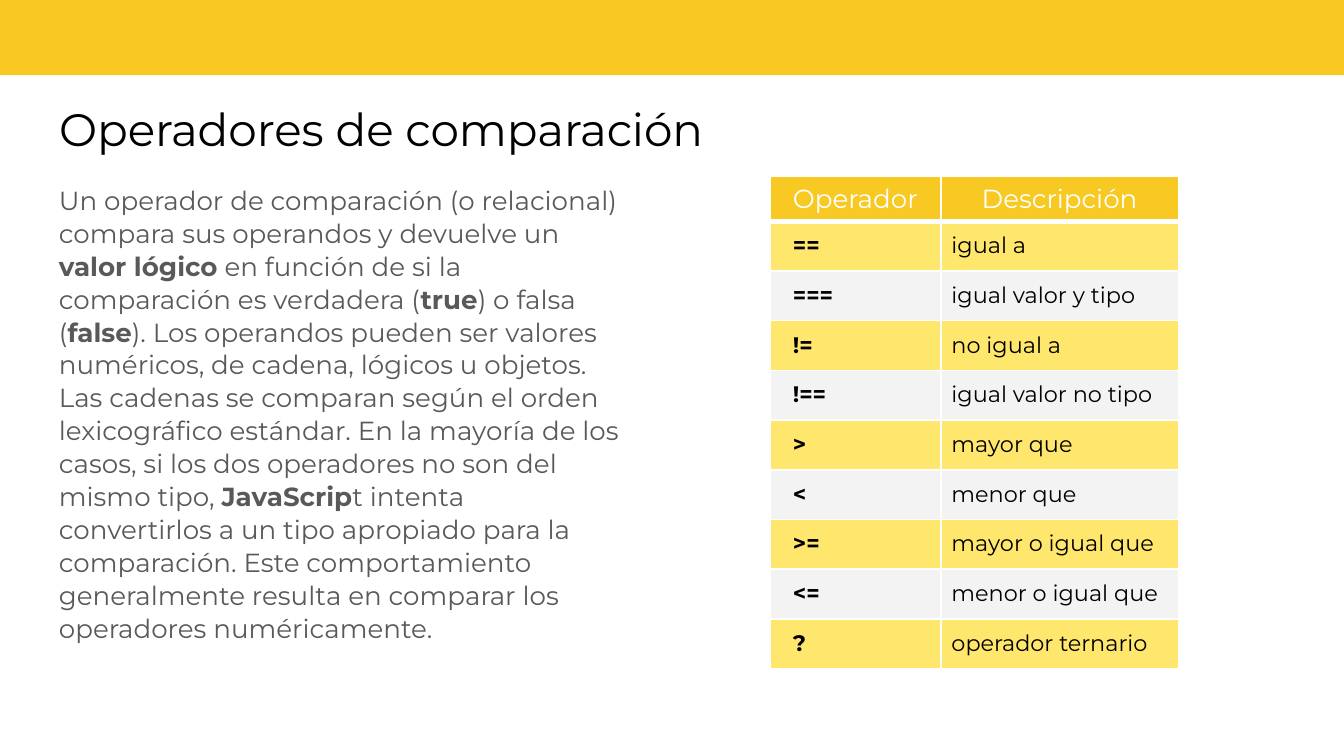
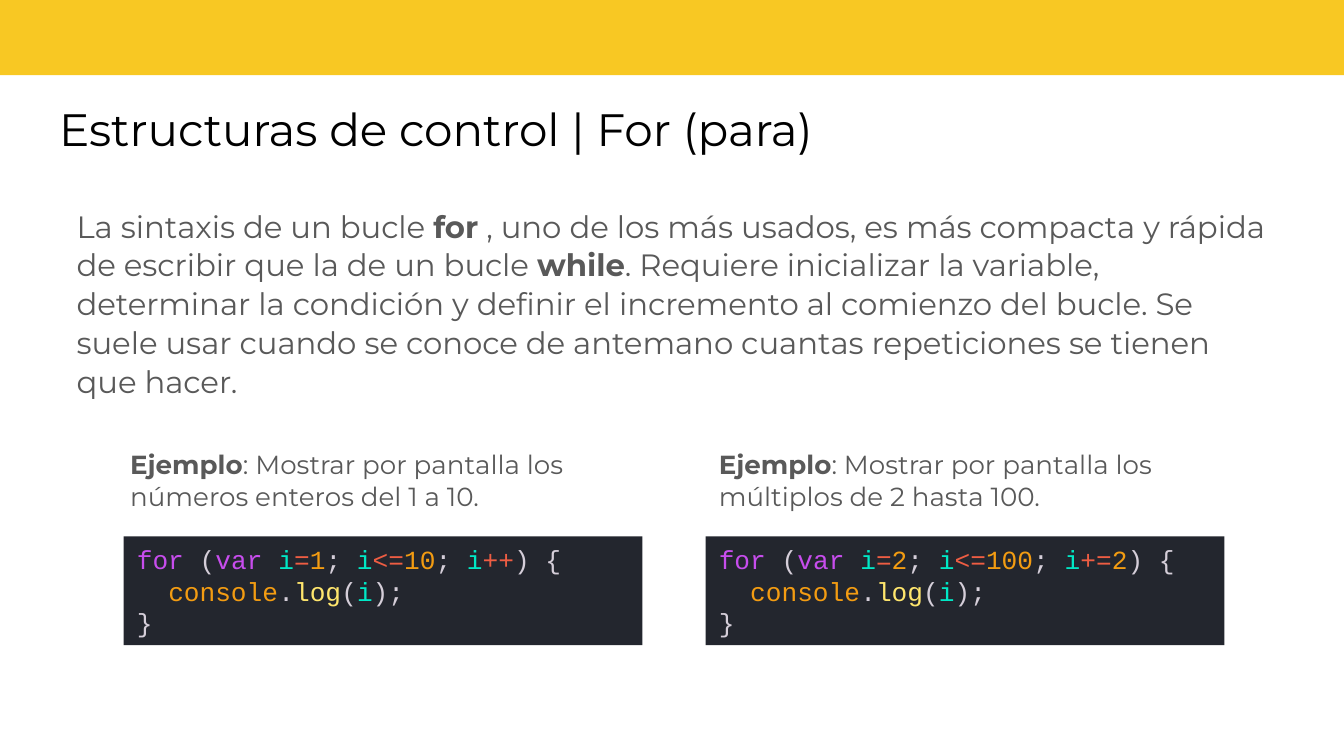
from lxml import etree
from pptx import Presentation
from pptx import util as u
from pptx.dml.color import RGBColor
from pptx.enum import shapes, text
from pptx.oxml.ns import qn

PX = 9144
COLOURS = {
    "yellow": "F8C823", "pale_yellow": "FFE66D", "pale_grey": "F3F3F3",
    "white": "FFFFFF", "black": "000000", "grey": "595959", "editor": "23262E",
    "keyword": "C74DED", "variable": "00E8C6", "operator": "EE5D43",
    "number": "F39C12", "function": "FFE66D", "plain": "D5CED9",
}
SYNTAX = {
    "for": "keyword", "var": "keyword", "i": "variable", "console": "number",
    "log": "function", "=": "operator", "<=": "operator", "++": "operator",
    "+=": "operator",
}
ANCHOR = text.MSO_ANCHOR
BODY = {"line_spacing": 1.05, "space_before": u.Pt(0)}


def write(paragraph, pieces, size, font="Montserrat", **paragraph_format):
    for name, value in paragraph_format.items():
        setattr(paragraph, name, value)
    for words, colour, bold in pieces:
        run = paragraph.add_run()
        run.text = words
        values = {"size": u.Pt(size), "name": font, "bold": bold}
        for name, value in values.items():
            setattr(run.font, name, value)
        run.font.color.rgb = RGBColor.from_string(COLOURS[colour])


def set_frame(target, margins, anchor):
    left, top, right, bottom = margins
    values = {
        "margin_left": left * PX, "margin_top": top * PX,
        "margin_right": right * PX, "margin_bottom": bottom * PX,
        "vertical_anchor": anchor,
    }
    for name, value in values.items():
        setattr(target, name, value)


presentation = Presentation()
presentation.slide_width = 1000 * PX
presentation.slide_height = 1000 * PX * 9 // 16
layouts = presentation.slide_layouts
operators_slide = presentation.slides.add_slide(layouts.get_by_name("Title Only"))
for_slide = presentation.slides.add_slide(layouts.get_by_name("Title and Content"))

band = operators_slide.shapes.add_shape(
    shapes.MSO_SHAPE.RECTANGLE, -1 * PX, -5 * PX, 1003 * PX, 61 * PX)
band.shadow.inherit = False
band.fill.solid()
band.fill.fore_color.rgb = RGBColor.from_string(COLOURS["yellow"])
band.line.fill.background()
presentation.slide_master.shapes.element.insert(2, band.element)

titles = [
    (operators_slide, "Operadores de comparación"),
    (for_slide, "Estructuras de control | For (para)"),
]
for slide, words in titles:
    title = slide.shapes.title
    box = {"left": 34, "top": 65, "width": 930, "height": 63}
    for name, value in box.items():
        setattr(title, name, value * PX)
    set_frame(title.text_frame, (10, 10, 10, 10), ANCHOR.TOP)
    title.text_frame.auto_size = text.MSO_AUTO_SIZE.NONE
    write(title.text_frame.paragraphs[0], [(words, "black", False)], 24.3,
          alignment=text.PP_ALIGN.LEFT)

body = for_slide.placeholders[1]
for name, value in {"left": 47, "top": 143, "width": 906, "height": 363}.items():
    setattr(body, name, value * PX)
properties = body.text_frame.paragraphs[0]._p.get_or_add_pPr()
properties.set("marL", "0")
properties.set("indent", "0")
etree.SubElement(properties, qn("a:buNone"))

explanation = operators_slide.shapes.add_textbox(34 * PX, 126 * PX, 437 * PX, 374 * PX)
first_example = for_slide.shapes.add_textbox(87 * PX, 324 * PX, 386 * PX, 67 * PX)
second_example = for_slide.shapes.add_textbox(525 * PX, 324 * PX, 386 * PX, 67 * PX)

marked_texts = [
    (explanation, 14, {**BODY, "space_after": u.Pt(12)},
     "Un operador de comparación (o relacional) compara sus operandos y devuelve un "
     "**valor lógico** en función de si la comparación es verdadera (**true**) o falsa "
     "(**false**). Los operandos pueden ser valores numéricos, de cadena, lógicos u "
     "objetos. Las cadenas se comparan según el orden lexicográfico estándar. En la "
     "mayoría de los casos, si los dos operadores no son del mismo tipo, **JavaScrip**t "
     "intenta convertirlos a un tipo apropiado para la comparación. Este comportamiento "
     "generalmente resulta en comparar los operadores numéricamente."),
    (body, 16.5, BODY,
     "La sintaxis de un bucle **for** , uno de los más usados, es más compacta y rápida "
     "de escribir que la de un bucle **while**. Requiere inicializar la variable, "
     "determinar la condición y definir el incremento al comienzo del bucle. Se suele "
     "usar cuando se conoce de antemano cuantas repeticiones se tienen que hacer."),
    (first_example, 14, {},
     "**Ejemplo**: Mostrar por pantalla los números enteros del 1 a 10."),
    (second_example, 14, {},
     "**Ejemplo**: Mostrar por pantalla los múltiplos de 2 hasta 100."),
]
for shape, size, paragraph_format, marked in marked_texts:
    frame = shape.text_frame
    frame.word_wrap = True
    frame.auto_size = text.MSO_AUTO_SIZE.NONE
    set_frame(frame, (10, 10, 10, 10), ANCHOR.TOP)
    pieces = [(words, "grey", index % 2 == 1)
              for index, words in enumerate(marked.split("**")) if words]
    write(frame.paragraphs[0], pieces, size, **paragraph_format)

operators = [
    ("Operador", "Descripción"),
    ("==", "igual a"),
    ("===", "igual valor y tipo"),
    ("!=", "no igual a"),
    ("!==", "igual valor no tipo"),
    (">", "mayor que"),
    ("<", "menor que"),
    (">=", "mayor o igual que"),
    ("<=", "menor o igual que"),
    ("?", "operador ternario"),
]
table = operators_slide.shapes.add_table(
    len(operators), 2, 573 * PX, 131 * PX, 304 * PX, 366 * PX).table
table.horz_banding = False
for column, width in zip(table.columns, (127, 177)):
    column.width = width * PX
for row_index, row in enumerate(operators):
    header = row_index == 0
    table.rows[row_index].height = (33 if header else 37) * PX
    for column_index, words in enumerate(row):
        cell = table.cell(row_index, column_index)
        cell_properties = cell._tc.get_or_add_tcPr()
        widths = {"lnL": 1, "lnR": 1, "lnT": 3 if row_index == 1 else 1,
                  "lnB": 3 if header else 1}
        for side, width in widths.items():
            border = etree.SubElement(
                cell_properties, qn("a:" + side), w=str(u.Pt(width)))
            border_fill = etree.SubElement(border, qn("a:solidFill"))
            etree.SubElement(border_fill, qn("a:srgbClr"), val=COLOURS["white"])
        fill = "yellow" if header else "pale_yellow" if row_index % 2 else "pale_grey"
        cell.fill.solid()
        cell.fill.fore_color.rgb = RGBColor.from_string(COLOURS[fill])
        paragraph = cell.text_frame.paragraphs[0]
        if header:
            set_frame(cell, (10, 5, 10, 5), ANCHOR.TOP)
            write(paragraph, [(words, "white", False)], 14,
                  alignment=text.PP_ALIGN.CENTER)
        else:
            first = column_index == 0
            set_frame(cell, (17 if first else 8, 8, 8, 8), ANCHOR.TOP)
            write(paragraph, [(words, "black", first)], 12)

loops = [
    (92, "for| (|var |i|=|1|; |i|<=|10|; |i|++|) {"),
    (525, "for| (|var |i|=|2|; |i|<=|100|; |i|+=|2|) {"),
]
for left, opening in loops:
    editor = for_slide.shapes.add_shape(
        shapes.MSO_SHAPE.RECTANGLE, left * PX, 399 * PX, 386 * PX, 81 * PX)
    editor.shadow.inherit = False
    editor.fill.solid()
    editor.fill.fore_color.rgb = RGBColor.from_string(COLOURS["editor"])
    editor.line.fill.background()
    frame = editor.text_frame
    frame.word_wrap = True
    set_frame(frame, (10, 5, 10, 5), ANCHOR.MIDDLE)
    for index, line in enumerate([opening, "  |console|.|log|(|i|);", "}"]):
        paragraph = frame.paragraphs[0] if index == 0 else frame.add_paragraph()
        pieces = []
        for token in line.split("|"):
            kind = "number" if token.isdigit() else SYNTAX.get(token.strip(), "plain")
            pieces.append((token, kind, False))
        write(paragraph, pieces, 14, "Courier New", alignment=text.PP_ALIGN.LEFT)

presentation.save("out.pptx")
